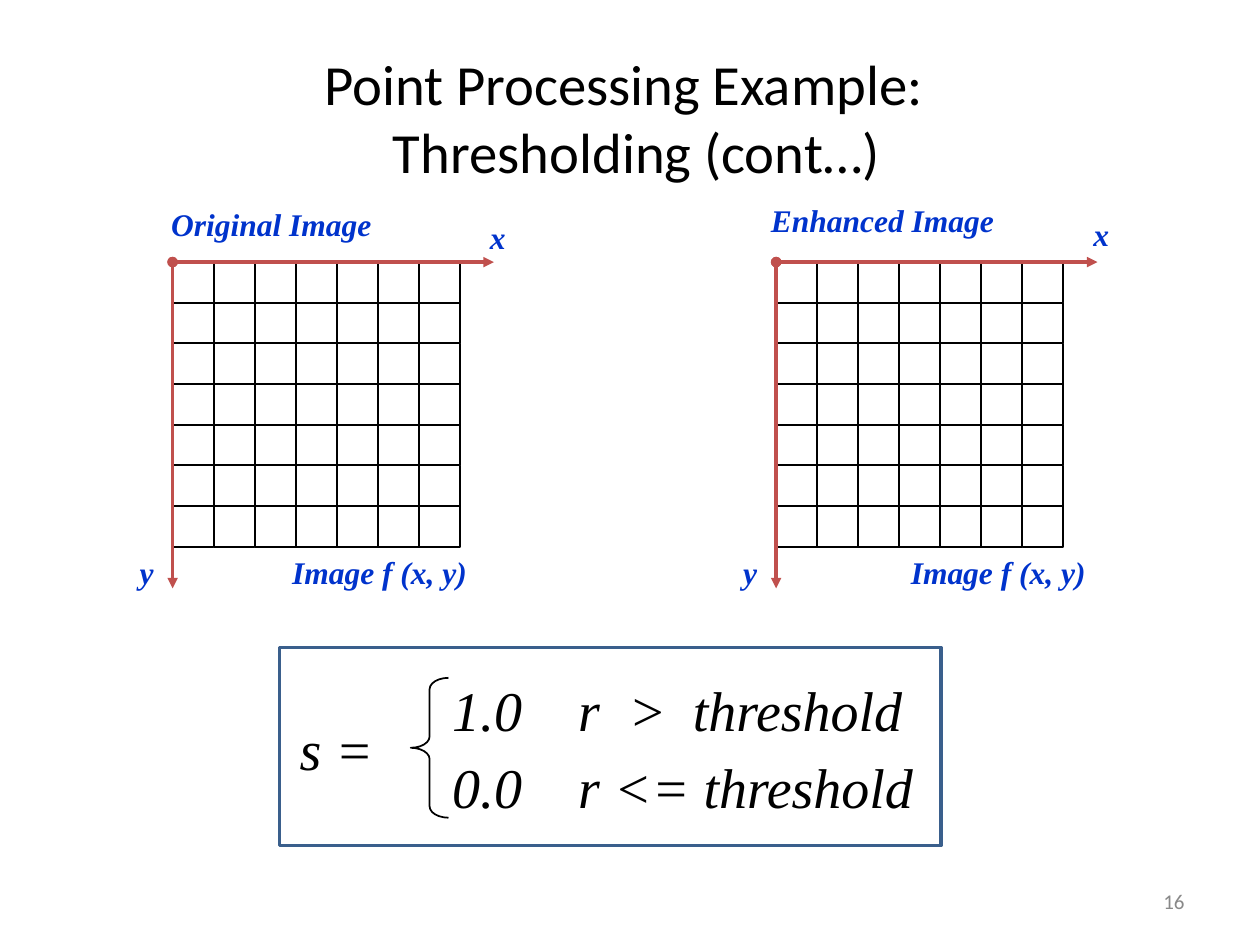
from dataclasses import dataclass

import pptx
import pptx.dml.color
import pptx.enum.shapes
import pptx.enum.text
import pptx.oxml.ns
import pptx.util
from lxml import etree

Inches = pptx.util.Inches
Pt = pptx.util.Pt
Shape = pptx.enum.shapes.MSO_SHAPE
Align = pptx.enum.text.PP_ALIGN
Anchor = pptx.enum.text.MSO_ANCHOR
qn = pptx.oxml.ns.qn


@dataclass(frozen=True)
class Theme:
    black: str = "000000"
    white: str = "FFFFFF"
    label: str = "0033CC"
    axis: str = "C0504D"
    frame: str = "3A5F8C"
    muted: str = "898989"
    sans: str = "Calibri"
    serif: str = "Times New Roman"
    title_size: float = 32.4
    formula_size: float = 32
    label_size: float = 18
    number_size: float = 12
    thin: float = 1
    thick: float = 2


THEME = Theme()


def rgb(value):
    return pptx.dml.color.RGBColor.from_string(value)


def add_text(shapes, text, box, size, color, font, bold=False, italic=False,
             align=Align.LEFT, anchor=Anchor.TOP, wrap=True):
    shape = shapes.add_textbox(*map(Inches, box))
    frame = shape.text_frame
    frame.word_wrap = wrap
    frame.vertical_anchor = anchor
    paragraph = frame.paragraphs[0]
    paragraph.text = text
    paragraph.alignment = align
    paragraph.font.size = Pt(size)
    paragraph.font.name = font
    paragraph.font.bold = bold
    paragraph.font.italic = italic
    paragraph.font.color.rgb = rgb(color)
    return paragraph


def add_outline(shapes, kind, box, color, width, fill=None):
    shape = shapes.add_shape(kind, *map(Inches, box))
    shape.shadow.inherit = False
    shape.line.color.rgb = rgb(color)
    shape.line.width = Pt(width)
    if fill:
        shape.fill.solid()
        shape.fill.fore_color.rgb = rgb(fill)
    else:
        shape.fill.background()
    return shape


def add_axis(shapes, start, end):
    axis = shapes.add_connector(
        pptx.enum.shapes.MSO_CONNECTOR.STRAIGHT, *map(Inches, start + end))
    axis.line.color.rgb = rgb(THEME.axis)
    axis.line.width = Pt(THEME.thick)
    line = axis.line._get_or_add_ln()
    etree.SubElement(line, qn("a:headEnd"), type="oval")
    etree.SubElement(line, qn("a:tailEnd"), type="triangle")
    etree.SubElement(axis._element.spPr, qn("a:effectLst"))


def add_title(slide, box):
    add_text(slide.shapes, "Point Processing Example: \v Thresholding (cont…)", box,
             THEME.title_size, THEME.black, THEME.sans,
             align=Align.CENTER, anchor=Anchor.MIDDLE)


def add_image_grid(slide, box, title, title_box, x_top, function_left):
    left, top, width, height = box
    count = 7
    shapes = slide.shapes.add_group_shape().shapes
    for row in range(count):
        for column in range(count):
            cell = (left + column * width / count, top + row * height / count,
                    width / count, height / count)
            add_outline(shapes, Shape.RECTANGLE, cell, THEME.black, THEME.thin, THEME.white)

    add_axis(shapes, (left, top), (left + 2.55, top))
    add_axis(shapes, (left, top), (left, top + 2.59))

    labels = [
        (title, title_box),
        ("x", (left + 2.42, x_top, 0.33, 0.4)),
        ("y", (left - 0.36, top + height, 0.31, 0.4)),
        ("Image f (x, y)", (function_left, top + height, 1.59, 0.4)),
    ]
    for text, label_box in labels:
        add_text(shapes, text, label_box, THEME.label_size, THEME.label, THEME.serif,
                 bold=True, italic=True, wrap=False)


def add_formula(slide, box):
    left, top, width, height = box
    shapes = slide.shapes.add_group_shape().shapes
    style = (THEME.formula_size, THEME.black, THEME.serif)
    add_text(shapes, "s =", (left + 0.06, top + 0.48, 0.9, 0.63), *style,
             italic=True, wrap=False)
    brace = add_outline(shapes, Shape.LEFT_BRACE, (left + 1.04, top + 0.24, 0.3, 1.11),
                        THEME.black, THEME.thin)
    brace.adjustments[0] = 0.3
    brace.adjustments[1] = 0.5

    cases = [
        ("0.0\tr <= threshold", 0.78, (1.0,)),
        ("1.0\tr\t>\tthreshold", 0.17, (1.0, 1.4, 1.91)),
    ]
    for text, offset, stops in cases:
        paragraph = add_text(shapes, text, (left + 1.27, top + offset, 4.19, 0.63),
                             *style, italic=True)
        properties = paragraph._p.get_or_add_pPr()
        tab_list = etree.Element(qn("a:tabLst"))
        for stop in stops:
            etree.SubElement(tab_list, qn("a:tab"), pos=str(Inches(stop)), algn="l")
        properties.insert(0, tab_list)

    add_outline(slide.shapes, Shape.RECTANGLE, box, THEME.frame, THEME.thick)


def add_slide_number(slide, box):
    add_text(slide.shapes, "16", box, THEME.number_size, THEME.muted, THEME.sans,
             align=Align.RIGHT, anchor=Anchor.MIDDLE)


def main():
    presentation = pptx.Presentation()
    presentation.slide_width = Inches(10)
    presentation.slide_height = Inches(7.5)
    slide = presentation.slides.add_slide(presentation.slide_layouts[6])

    add_title(slide, (0.5, 0.3, 9, 1.25))
    add_image_grid(slide, (1.37, 2.08, 2.28, 2.26), "Original Image",
                   (1.26, 1.58, 1.79, 0.4), x_top=1.68, function_left=2.22)
    add_image_grid(slide, (6.16, 2.08, 2.28, 2.26), "Enhanced Image",
                   (6.02, 1.55, 1.97, 0.4), x_top=1.66, function_left=7.13)
    add_formula(slide, (2.22, 5.14, 5.25, 1.57))
    add_slide_number(slide, (7.17, 6.95, 2.33, 0.4))

    presentation.save("out.pptx")


if __name__ == "__main__":
    main()
